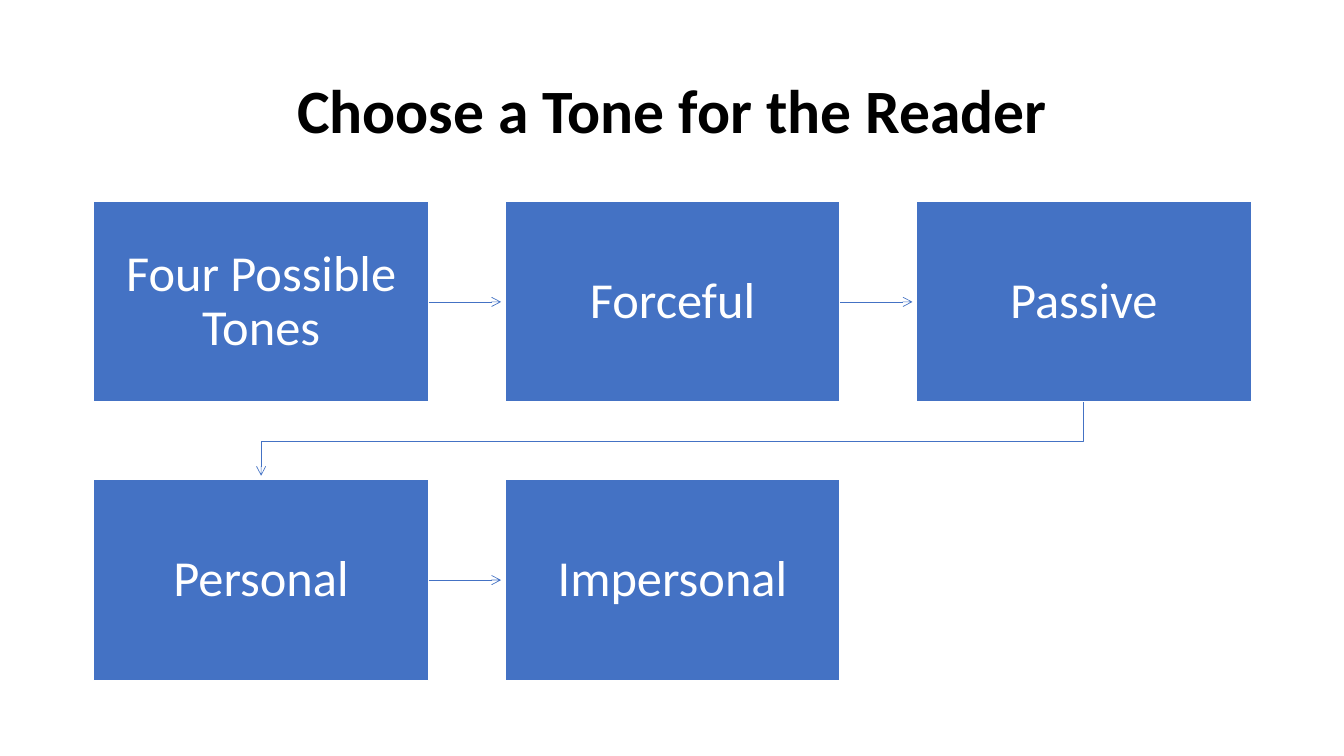
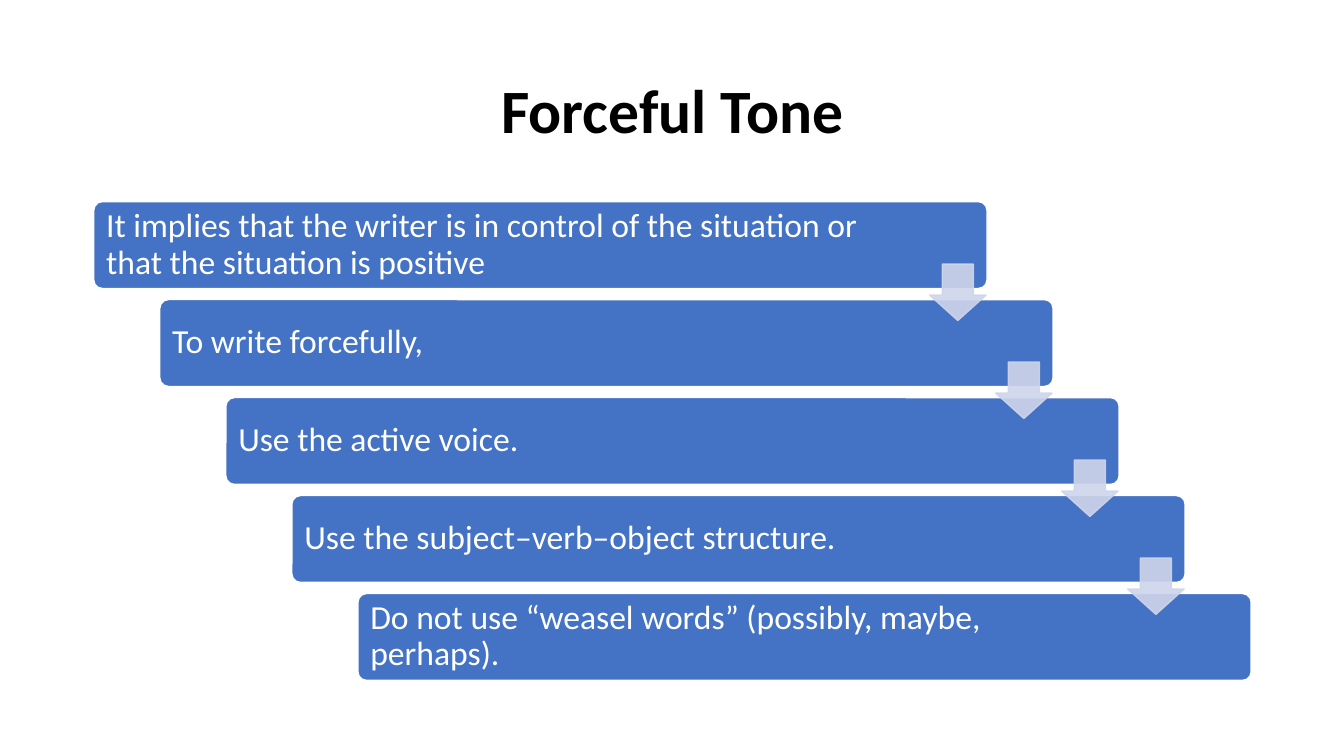
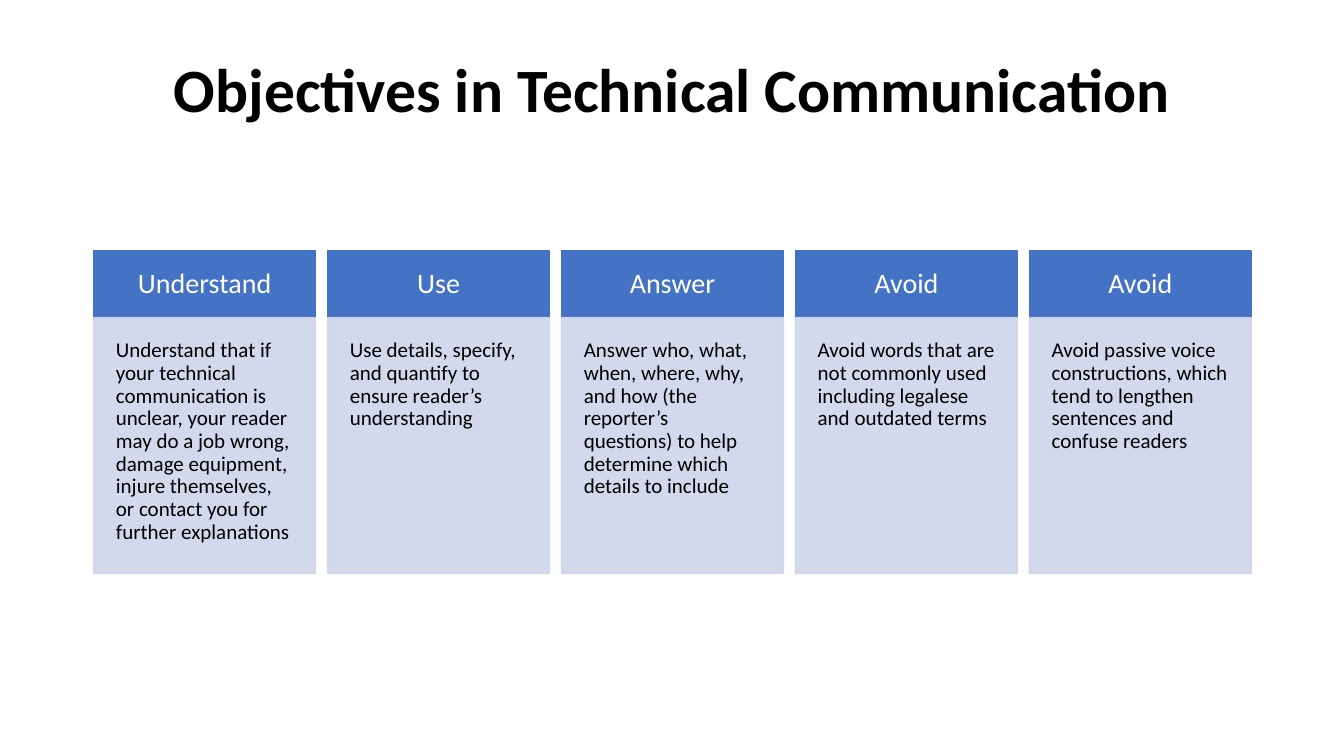
from lxml.etree import SubElement
from pptx import Presentation
from pptx.dml.color import RGBColor
from pptx.enum.shapes import MSO_CONNECTOR, MSO_SHAPE
from pptx.enum.text import MSO_ANCHOR, PP_ALIGN
from pptx.oxml.ns import qn
from pptx.util import Inches, Pt

BLUE = RGBColor(0x44, 0x72, 0xC4)
PALE = RGBColor(0xCF, 0xD5, 0xEA)
WHITE = RGBColor(0xFF, 0xFF, 0xFF)
BLACK = RGBColor(0x00, 0x00, 0x00)
FONT = "Calibri"
LEFT, TOP, WIDE, HIGH = 0.93, 2, 11.48, 4.75

TONES = ["Four Possible Tones", "Forceful", "Passive", "Personal", "Impersonal"]
STEPS = [
    "It implies that the writer is in control of the situation or that the situation is positive",
    "To write forcefully,",
    "Use the active voice.",
    "Use the subject–verb–object structure.",
    "Do not use “weasel words” (possibly, maybe, perhaps).",
]
GOALS = [
    ("Understand", "Understand that if your technical communication is unclear, your reader may do "
     "a job wrong, damage equipment, injure themselves, or contact you for further explanations"),
    ("Use", "Use details, specify, and quantify to ensure reader’s understanding"),
    ("Answer", "Answer who, what, when, where, why, and how (the reporter’s questions) "
     "to help determine which details to include"),
    ("Avoid", "Avoid words that are not commonly used including legalese and outdated terms"),
    ("Avoid", "Avoid passive voice constructions, which tend to lengthen sentences "
     "and confuse readers"),
]


def split(start, total, count, gap):
    size = (total - gap * (count - 1)) / count
    return [start + i * (size + gap) for i in range(count)], size


def write(shape, text, size, color, align, pads, anchor=MSO_ANCHOR.MIDDLE, bold=False):
    frame = shape.text_frame
    frame.word_wrap = True
    frame.vertical_anchor = anchor
    (frame.margin_left, frame.margin_top,
     frame.margin_right, frame.margin_bottom) = map(Inches, pads)
    para = frame.paragraphs[0]
    para.text = text
    para.alignment = align
    para.line_spacing = 0.9
    font = para.font
    font.name, font.size, font.bold = FONT, Pt(size), bold
    font.color.rgb = color


def add_page(deck, title, high=1.45):
    page = deck.slides.add_slide(deck.slide_layouts[6])
    box = page.shapes.add_textbox(*map(Inches, (0.92, 0.4, 11.5, high)))
    write(box, title, 44, BLACK, PP_ALIGN.CENTER, (0.1, 0.05, 0.1, 0.05), bold=True)
    return page


def add_block(page, kind, place, fill, edge):
    shape = page.shapes.add_shape(kind, *map(Inches, place))
    shape.shadow.inherit = False
    shape.fill.solid()
    shape.fill.fore_color.rgb = fill
    shape.line.color.rgb = edge
    shape.line.width = Pt(1)
    return shape


def fade(shape):
    for color in shape.element.spPr.iter(qn("a:srgbClr")):
        SubElement(color, qn("a:alpha")).set("val", "90000")


def add_arrow(page, *points):
    spots = [(Inches(x), Inches(y)) for x, y in points]
    if len(spots) == 2:
        arrow = page.shapes.add_connector(MSO_CONNECTOR.STRAIGHT, *spots[0], *spots[1])
    else:
        path = page.shapes.build_freeform(*spots[0])
        path.add_line_segments(spots[1:], close=False)
        arrow = path.convert_to_shape()
        arrow.fill.background()
    arrow.line.color.rgb = BLUE
    arrow.line.width = Pt(0.5)
    SubElement(arrow.line._get_or_add_ln(), qn("a:tailEnd")).set("type", "arrow")
    SubElement(arrow.element.spPr, qn("a:effectLst"))


def add_tones(deck):
    page = add_page(deck, "Choose a Tone for the Reader")
    cols, wide = split(LEFT, WIDE, 3, 0.76)
    rows, high = split(TOP, HIGH, 2, 0.77)
    gap = 0.04
    for i, tone in enumerate(TONES):
        x, y = cols[i % 3], rows[i // 3]
        box = add_block(page, MSO_SHAPE.RECTANGLE, (x, y, wide, high), BLUE, WHITE)
        write(box, tone, 36, WHITE, PP_ALIGN.CENTER, [0.28] * 4)
        if i % 3 < 2 and i < len(TONES) - 1:
            mid = y + high / 2
            add_arrow(page, (x + wide, mid), (cols[i % 3 + 1] - gap, mid))
    start, end = cols[2] + wide / 2, cols[0] + wide / 2
    base = rows[0] + high
    turn = (base + rows[1]) / 2
    add_arrow(page, (start, base), (start, turn), (end, turn), (end, rows[1] - gap))


def add_steps(deck):
    page = add_page(deck, "Forceful Tone")
    rows, high = split(TOP, HIGH, len(STEPS), 0.11)
    wide, size = 8.86, 0.56
    shift = (WIDE - wide) / (len(STEPS) - 1)
    for i, (y, text) in enumerate(zip(rows, STEPS)):
        place = (LEFT + i * shift, y, wide, high)
        bar = add_block(page, MSO_SHAPE.ROUNDED_RECTANGLE, place, BLUE, WHITE)
        bar.adjustments[0] = 0.1
        right = 1.35 if i else 1.1
        write(bar, text, 24, WHITE, PP_ALIGN.LEFT, (0.1, 0.1, right, 0.1))
    for i, y in enumerate(rows[:-1]):
        place = (LEFT + i * shift + wide - size - 0.01, y + 0.62, size, size)
        arrow = add_block(page, MSO_SHAPE.DOWN_ARROW, place, PALE, PALE)
        arrow.adjustments[0] = 0.45
        arrow.adjustments[0], arrow.adjustments[1] = 0.55, 0.45
        fade(arrow)


def add_goals(deck):
    page = add_page(deck, "Objectives in Technical Communication", 1.03)
    cols, wide = split(LEFT, WIDE, len(GOALS), 0.12)
    top, head, body = 2.49, 0.66, 2.54
    for x, (name, text) in zip(cols, GOALS):
        box = add_block(page, MSO_SHAPE.RECTANGLE, (x, top, wide, head), BLUE, BLUE)
        write(box, name, 20, WHITE, PP_ALIGN.CENTER, [0.17] * 4)
        box = add_block(page, MSO_SHAPE.RECTANGLE, (x, top + head, wide, body), PALE, PALE)
        write(box, text, 15, BLACK, PP_ALIGN.LEFT, [0.22] * 4, MSO_ANCHOR.TOP)
        fade(box)


def main():
    deck = Presentation()
    deck.slide_width, deck.slide_height = Inches(13.33), Inches(7.5)
    add_tones(deck)
    add_steps(deck)
    add_goals(deck)
    deck.save("out.pptx")


if __name__ == "__main__":
    main()
